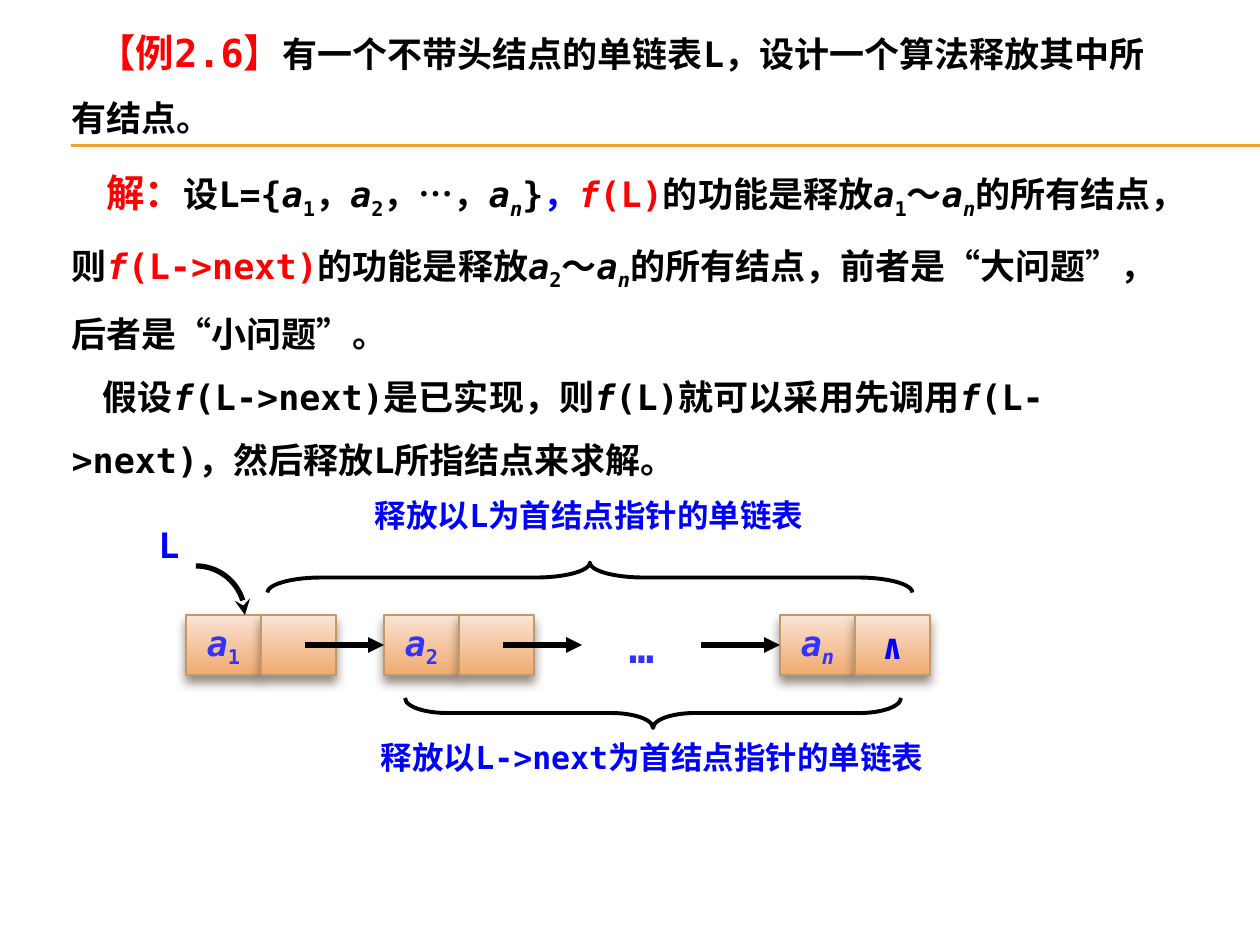
from math import cos, pi, sin

from lxml.etree import SubElement
from pptx import Presentation
from pptx.dml.color import RGBColor
from pptx.enum.shapes import MSO_CONNECTOR, MSO_SHAPE
from pptx.enum.text import MSO_ANCHOR, MSO_AUTO_SIZE, PP_ALIGN
from pptx.oxml.ns import qn
from pptx.util import Pt

SCALE = 914400 / 126
LATIN, ASIAN = "DejaVu Sans Mono", "Noto Sans CJK SC"
BLACK, RED, BLUE, VIOLET = "000000", "FF0000", "0000FF", "3333FF"
NODE_LEFT, NODE_TOP, NODE_STEP = 186, 615, 198
CELL_WIDTH, CELL_HEIGHT = 75, 60


def px(*lengths):
    """Turn pixel lengths into a list of EMU."""
    return [round(length * SCALE) for length in lengths]


def color(value):
    """Turn a hex string into a colour."""
    return RGBColor.from_string(value)


def set_values(target, values):
    """Set every attribute named in a dict."""
    for name, value in values.items():
        setattr(target, name, value)


def run(text, size=20, ink=BLACK, italic=False, baseline=0, font=LATIN):
    """Describe one run of text."""
    return dict(text=text, size=size, ink=ink, italic=italic, baseline=baseline, font=font)


def term(index, ink=BLACK):
    """Describe the list element a with its subscript."""
    return [run("a", ink=ink, italic=True),
            run(index, ink=ink, italic=index == "n", baseline=-25000)]


def call(argument, ink=BLACK):
    """Describe a call of the function f."""
    return [run("f", ink=ink, italic=True), run(f"({argument})", ink=ink)]


def write(paragraph, runs, **values):
    """Fill a paragraph with described runs and format it."""
    set_values(paragraph, {"space_before": Pt(0), **values})
    for item in runs:
        piece = paragraph.add_run()
        piece.text = item["text"]
        set_values(piece.font, {"name": item["font"], "size": Pt(item["size"]),
                                "bold": True, "italic": item["italic"]})
        piece.font.color.rgb = color(item["ink"])
        properties = piece.font._element
        SubElement(properties, qn("a:ea")).set("typeface", ASIAN)
        if item["baseline"]:
            properties.set("baseline", str(item["baseline"]))


def fill_placeholder(shape, box, paragraphs):
    """Place a placeholder and write indented paragraphs without bullets."""
    set_values(shape, dict(zip(("left", "top", "width", "height"), px(*box))))
    frame = shape.text_frame
    set_values(frame, {"word_wrap": True, "auto_size": MSO_AUTO_SIZE.NONE,
                       "vertical_anchor": MSO_ANCHOR.TOP})
    for number, (indent, runs) in enumerate(paragraphs):
        paragraph = frame.add_paragraph() if number else frame.paragraphs[0]
        write(paragraph, runs, line_spacing=1.5, alignment=PP_ALIGN.LEFT)
        properties = paragraph._p.get_or_add_pPr()
        properties.set("marL", "0")
        properties.set("indent", str(px(indent)[0]))
        SubElement(properties, qn("a:buNone"))


def add_label(slide, box, item, alignment=PP_ALIGN.CENTER):
    """Add a text box with one run."""
    frame = slide.shapes.add_textbox(*px(*box)).text_frame
    frame.word_wrap = True
    write(frame.paragraphs[0], [item], alignment=alignment)


def add_cell(slide, left, runs):
    """Add one shaded cell of a list node."""
    shape = slide.shapes.add_shape(
        MSO_SHAPE.RECTANGLE, *px(left, NODE_TOP, CELL_WIDTH, CELL_HEIGHT))
    shape.fill.gradient()
    shape.fill.gradient_angle = 270
    for stop, value, position in zip(shape.fill.gradient_stops, ("FAE4D5", "EFAA6F"), (0, 1)):
        stop.color.rgb = color(value)
        stop.position = position
    style_line(shape, "C3986D", 0.79)
    shape.shadow.inherit = False
    effects = shape._element.spPr.find(qn("a:effectLst"))
    shadow = SubElement(effects, qn("a:outerShdw"), blurRad=str(Pt(6)), dist=str(Pt(4)),
                        dir="5400000", rotWithShape="0")
    tint = SubElement(shadow, qn("a:srgbClr"), val="4E3B30")
    SubElement(tint, qn("a:alpha"), val="60000")
    set_values(shape.text_frame, {"word_wrap": False, "vertical_anchor": MSO_ANCHOR.MIDDLE})
    write(shape.text_frame.paragraphs[0], runs, alignment=PP_ALIGN.CENTER)
    return shape


def add_node(slide, slot, data, link=()):
    """Add a list node of two cells and return its data cell."""
    left = NODE_LEFT + slot * NODE_STEP
    first = add_cell(slide, left, data)
    add_cell(slide, left + CELL_WIDTH, link)
    return first


def style_line(shape, ink, width, tail=None):
    """Colour a line and give it an optional arrowhead."""
    shape.line.color.rgb = color(ink)
    shape.line.width = Pt(width)
    if tail:
        SubElement(shape.line._get_or_add_ln(), qn("a:tailEnd"), type=tail)


def add_line(slide, start, end, ink, width, tail=None):
    """Add a straight connector without shadow."""
    connector = slide.shapes.add_connector(MSO_CONNECTOR.STRAIGHT, *px(*start, *end))
    style_line(connector, ink, width, tail)
    SubElement(connector._element.spPr, qn("a:effectLst"))
    return connector


def add_brace(slide, box, rotation, curve):
    """Add a brace turned to lie above or below the list."""
    brace = slide.shapes.add_shape(MSO_SHAPE.RIGHT_BRACE, *px(*box))
    brace.rotation = rotation
    brace.adjustments[0] = curve
    brace.fill.background()
    brace.shadow.inherit = False
    style_line(brace, BLACK, 2.25)


def add_pointer(slide, left, bottom, radius, steps=24):
    """Add a quarter-circle arrow that ends pointing down."""
    angles = [pi / 2 * step / steps for step in range(steps + 1)]
    points = [px(left + radius * sin(angle), bottom - radius * cos(angle)) for angle in angles]
    builder = slide.shapes.build_freeform(*points[0])
    builder.add_line_segments(points[1:], close=False)
    pointer = builder.convert_to_shape()
    pointer.fill.background()
    pointer.shadow.inherit = False
    style_line(pointer, BLACK, 3, "stealth")


def add_text(slide):
    """Write the exercise and its solution."""
    exercise = [run("【例2.6】", 22, RED),
                run("有一个不带头结点的单链表L，设计一个算法释放其中所有结点。")]
    solution = [run("解：", 22, RED, font=ASIAN), run("设L={"), *term("1"), run("，"),
                *term("2"), run("，…，"), *term("n"), run("}"), run("，", ink=BLUE),
                *call("L", RED), run("的功能是释放"), *term("1"), run("～"), *term("n"),
                run("的所有结点，则"), *call("L->next", RED), run("的功能是释放"),
                *term("2"), run("～"), *term("n"),
                run("的所有结点，前者是“大问题”，后者是“小问题”。")]
    assumption = [run("假设"), *call("L->next"), run("是已实现，则"), *call("L"),
                  run("就可以采用先调用"), *call("L->next"),
                  run("，然后释放L所指结点来求解。")]
    title, body = slide.placeholders
    fill_placeholder(title, (59, 0, 1131, 139), [(26, exercise)])
    fill_placeholder(body, (59, 137, 1142, 338), [(35, solution), (31, assumption)])


def add_list_diagram(slide):
    """Draw the linked list with its pointer, braces and labels."""
    nodes = {0: add_node(slide, 0, term("1", VIOLET)),
             1: add_node(slide, 1, term("2", VIOLET)),
             3: add_node(slide, 3, term("n", VIOLET), [run("∧", ink=BLUE)])}
    middle = NODE_TOP + CELL_HEIGHT // 2
    for slot in range(3):
        end = NODE_LEFT + (slot + 1) * NODE_STEP
        arrow = add_line(slide, (end - 79, middle), (end, middle), BLACK, 3, "triangle")
        if slot + 1 in nodes:
            arrow.end_connect(nodes[slot + 1], 1)
    add_label(slide, (602, 615, 79, 63), run("…", 24, VIOLET))
    add_pointer(slide, 196, NODE_TOP, 49)
    add_label(slide, (146, 517, 59, 55), run("L", ink=BLUE), PP_ALIGN.LEFT)
    add_brace(slide, (575, 255, 30, 645), 270, 1.81)
    add_brace(slide, (638, 465, 30, 496), 90, 1.39)
    add_label(slide, (321, 490, 536, 50), run("释放以L为首结点指针的单链表", 18, BLUE))
    add_label(slide, (310, 732, 684, 50), run("释放以L->next为首结点指针的单链表", 18, BLUE))


def main():
    """Build and save the slide."""
    presentation = Presentation()
    presentation.slide_width, presentation.slide_height = px(1260, 945)
    slide = presentation.slides.add_slide(presentation.slide_layouts[1])
    for height in (145, 146):
        add_line(slide, (71, height), (1260, height), "F0A22E", 0.75)
    add_text(slide)
    add_list_diagram(slide)
    presentation.save("out.pptx")


if __name__ == "__main__":
    main()
